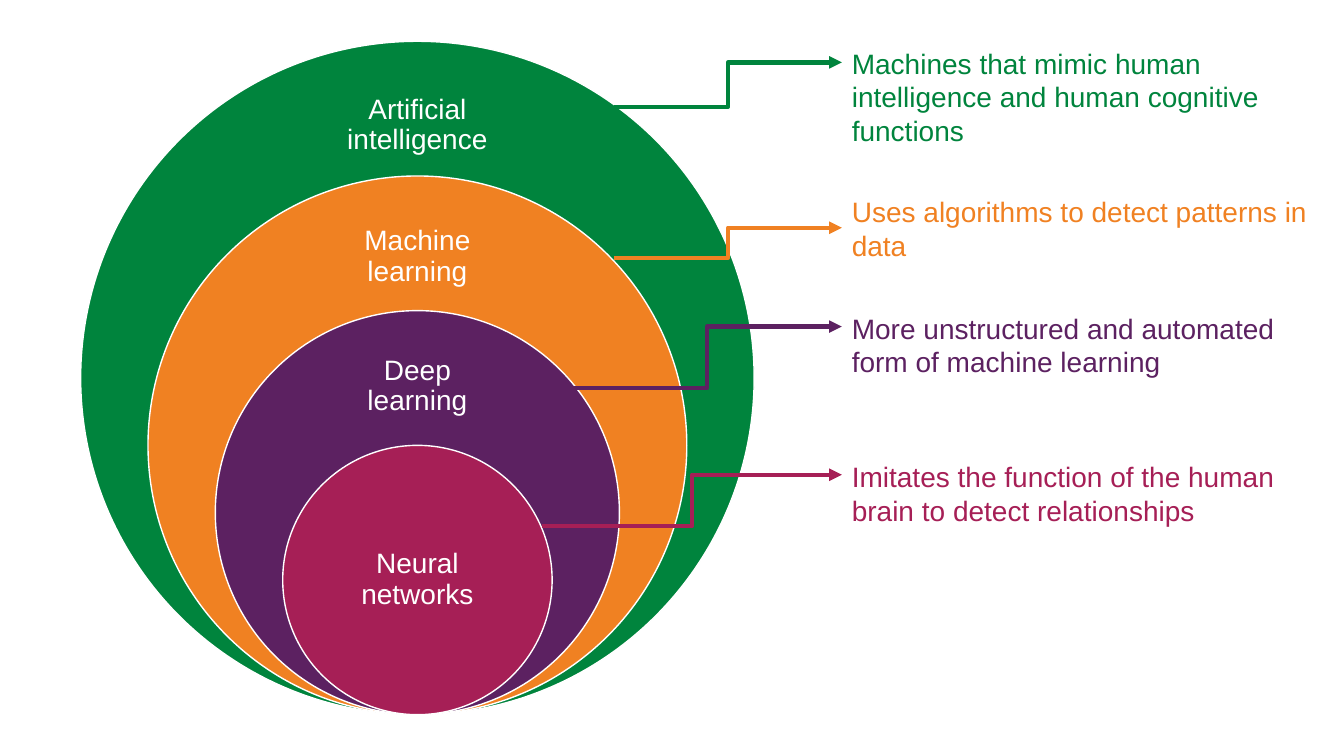
from dataclasses import dataclass

from lxml import etree
from pptx import Presentation
from pptx.dml.color import RGBColor
from pptx.enum.shapes import MSO_CONNECTOR, MSO_SHAPE
from pptx.enum.text import MSO_ANCHOR, MSO_AUTO_SIZE, PP_ALIGN
from pptx.oxml.ns import qn
from pptx.util import Inches, Pt

ELLIPSE = MSO_SHAPE.OVAL
ELBOW = MSO_CONNECTOR.ELBOW
MIDDLE = MSO_ANCHOR.MIDDLE
CENTER = PP_ALIGN.CENTER
LEFT = PP_ALIGN.LEFT
GROW = MSO_AUTO_SIZE.SHAPE_TO_FIT_TEXT


@dataclass(frozen=True)
class Theme:
    font: str = "Arial"
    text_size: int = 20
    white: str = "FFFFFF"
    green: str = "00843D"
    orange: str = "F08122"
    purple: str = "5C2161"
    crimson: str = "A61F56"
    outline: float = 1
    arrow: float = 3


@dataclass(frozen=True)
class Layer:
    term: str
    meaning: str
    color: str
    label_top: float
    label_height: float
    meaning_top: float
    meaning_height: float
    arrow_start: tuple
    arrow_drop: float


THEME = Theme()
SLIDE_WIDTH, SLIDE_HEIGHT = 13.33, 7.5
CIRCLES_BOX = (0.8, 0.41, 6.68, 6.68)
MEANINGS_BOX = (8.35, 0.41, 4.83, 4.87)
LABEL_WIDTH_SHARE = 0.28
LABEL_INSET = 0.16

LAYERS = [
    Layer("Artificial intelligence",
          "Machines that mimic human intelligence and human cognitive functions",
          THEME.green, 0.05, 0.15, 0, 1.11, (6.09, 1.06), 0.21),
    Layer("Machine learning",
          "Uses algorithms to detect patterns in data",
          THEME.orange, 0.06, 0.18, 1.47, 0.77, (6.09, 2.56), 0.38),
    Layer("Deep learning",
          "More unstructured and automated form of machine learning",
          THEME.purple, 0.075, 0.225, 2.63, 0.77, (5.68, 3.85), 0.2),
    Layer("Neural networks",
          "Imitates the function of the human brain to detect relationships",
          THEME.crimson, 0.25, 0.5, 4.1, 0.77, (5.38, 5.22), 0.2),
]


def inches(*lengths):
    return [Inches(length) for length in lengths]


def add_text(slide, box, text, color, align):
    frame = slide.shapes.add_textbox(*inches(*box)).text_frame
    frame.word_wrap = True
    paragraph = frame.paragraphs[0]
    paragraph.text = text
    paragraph.alignment = align
    paragraph.font.name = THEME.font
    paragraph.font.size = Pt(THEME.text_size)
    paragraph.font.color.rgb = RGBColor.from_string(color)
    return frame


def add_nested_circles(slide, box):
    left, top, width, height = box
    center, bottom = left + width / 2, top + height
    label_width = width * LABEL_WIDTH_SHARE
    for depth, layer in enumerate(LAYERS):
        diameter = width * (1 - depth / 5)
        circle_top = bottom - diameter
        circle = slide.shapes.add_shape(
            ELLIPSE, *inches(center - diameter / 2, circle_top, diameter, diameter))
        circle.shadow.inherit = False
        circle.fill.solid()
        circle.fill.fore_color.rgb = RGBColor.from_string(layer.color)
        circle.line.color.rgb = RGBColor.from_string(THEME.white)
        circle.line.width = Pt(THEME.outline)

        label_box = (center - label_width / 2, circle_top + diameter * layer.label_top,
                     label_width, diameter * layer.label_height)
        label = add_text(slide, label_box, layer.term, THEME.white, CENTER)
        label.vertical_anchor = MIDDLE
        label.margin_left = label.margin_right = Inches(LABEL_INSET)
        label.margin_top = label.margin_bottom = Inches(LABEL_INSET)
        label.paragraphs[0].line_spacing = 0.9


def add_meanings(slide, box):
    left, top, width, _ = box
    for layer in LAYERS:
        meaning_box = (left, top + layer.meaning_top, width, layer.meaning_height)
        meaning = add_text(slide, meaning_box, layer.meaning, layer.color, LEFT)
        meaning.auto_size = GROW


def add_arrows(slide, box):
    left, top, _, _ = box
    for layer in LAYERS:
        arrow_end = (left, top + layer.meaning_top + layer.arrow_drop)
        arrow = slide.shapes.add_connector(ELBOW, *inches(*layer.arrow_start, *arrow_end))
        arrow.line.color.rgb = RGBColor.from_string(layer.color)
        arrow.line.width = Pt(THEME.arrow)
        properties = arrow._element.spPr
        etree.SubElement(properties.find(qn("a:ln")), qn("a:tailEnd"), type="triangle")
        etree.SubElement(properties, qn("a:effectLst"))


def main():
    deck = Presentation()
    deck.slide_width, deck.slide_height = inches(SLIDE_WIDTH, SLIDE_HEIGHT)
    slide = deck.slides.add_slide(deck.slide_layouts[6])
    add_nested_circles(slide, CIRCLES_BOX)
    add_meanings(slide, MEANINGS_BOX)
    add_arrows(slide, MEANINGS_BOX)
    deck.save("out.pptx")


if __name__ == "__main__":
    main()
